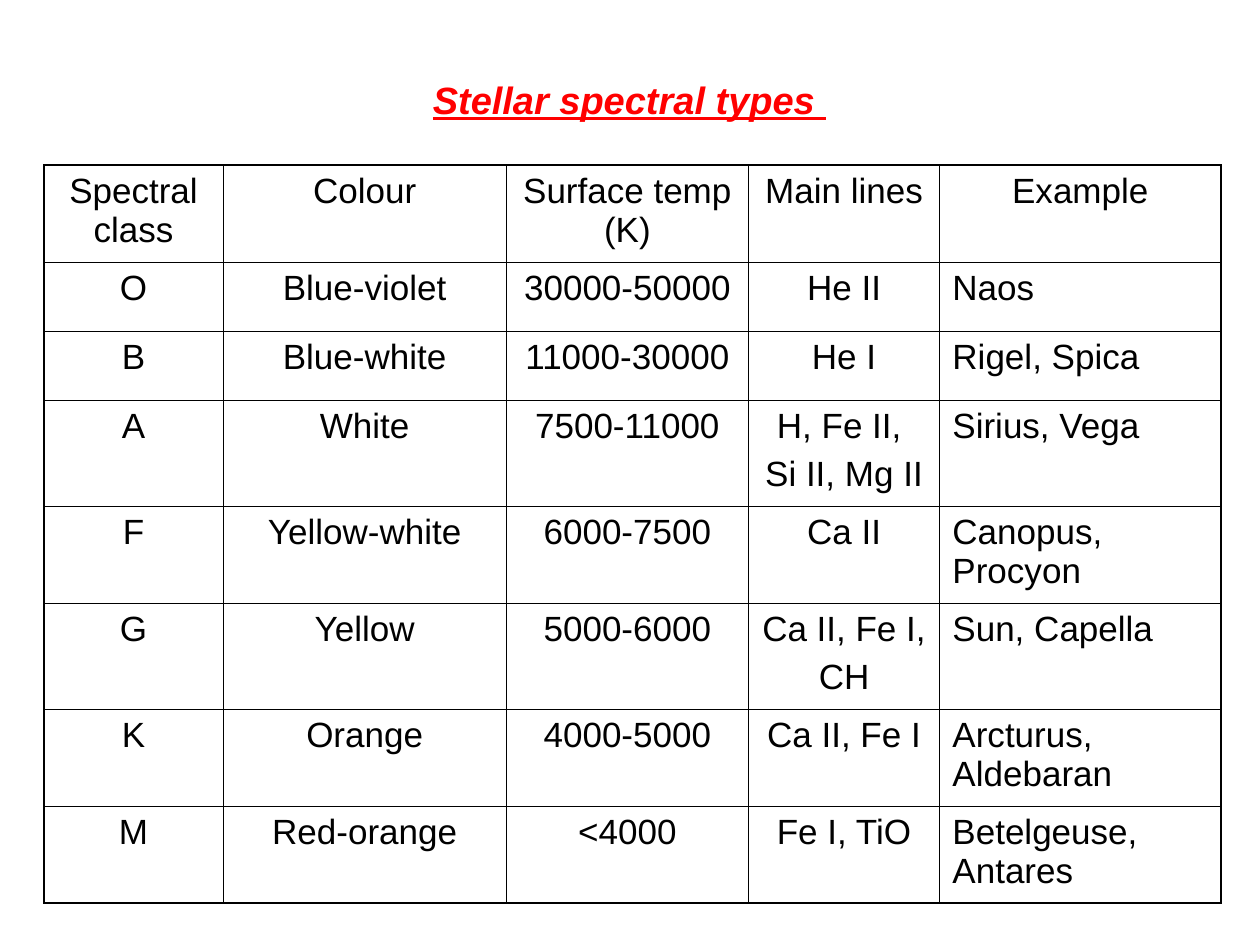
from lxml import etree
from pptx import Presentation
from pptx import util as u
from pptx.dml.color import RGBColor
from pptx.enum import text
from pptx.oxml.ns import qn

COLOURS = {"title": "FF0000", "ink": "000000", "paper": "FFFFFF"}
OUTER, INNER = 1.08, 0.45  # rule widths in points
COLUMN_WIDTHS = [1.42, 2.25, 1.92, 1.52, 2.23]
ROW_HEIGHTS = [0.77, 0.55, 0.55, 0.84, 0.77, 0.84, 0.77, 0.77]
SPECTRAL_TYPES = [
    ["Spectral class", "Colour", "Surface temp (K)", "Main lines", "Example"],
    ["O", "Blue-violet", "30000-50000", "He II", "Naos"],
    ["B", "Blue-white", "11000-30000", "He I", "Rigel, Spica"],
    ["A", "White", "7500-11000", "H, Fe II, \nSi II, Mg II", "Sirius, Vega"],
    ["F", "Yellow-white", "6000-7500", "Ca II", "Canopus, Procyon"],
    ["G", "Yellow", "5000-6000", "Ca II, Fe I,\nCH", "Sun, Capella"],
    ["K", "Orange", "4000-5000", "Ca II, Fe I", "Arcturus, Aldebaran"],
    ["M", "Red-orange", "<4000", "Fe I, TiO", "Betelgeuse, Antares"],
]


def write(frame, words, size=20, colour="ink", align="CENTER", spacing=None,
          bold=False, italic=False, underline=False):
    """Fill a text frame, one paragraph per line of words."""
    frame.word_wrap = True
    for i, line in enumerate(words.split("\n")):
        paragraph = frame.add_paragraph() if i else frame.paragraphs[0]
        paragraph.alignment = getattr(text.PP_ALIGN, align)
        if i:
            paragraph.space_before = u.Pt(5)
        if spacing:
            paragraph.line_spacing = spacing
        run = paragraph.add_run()
        run.text = line
        font = run.font
        font.name, font.size = "Arial", u.Pt(size)
        font.bold, font.italic, font.underline = bold, italic, underline
        font.color.rgb = RGBColor.from_string(COLOURS[colour])


def rule_cell(cell, widths):
    """Draw the cell borders; they must precede the fill in the cell properties."""
    properties = cell._tc.get_or_add_tcPr()
    for position, (side, width) in enumerate(widths.items()):
        border = etree.Element(qn(f"a:ln{side}"), w=str(u.Pt(width)))
        fill = etree.SubElement(border, qn("a:solidFill"))
        etree.SubElement(fill, qn("a:srgbClr"), val=COLOURS["ink"])
        properties.insert(position, border)


def add_title(slide, left, top, width, height):
    box = slide.shapes.add_textbox(*map(u.Inches, (left, top, width, height)))
    box.text_frame.vertical_anchor = text.MSO_ANCHOR.MIDDLE
    write(box.text_frame, "Stellar spectral types ", size=21.7, colour="title",
          spacing=0.8, bold=True, italic=True, underline=True)


def add_spectral_table(slide, left, top):
    last_row, last_column = len(ROW_HEIGHTS) - 1, len(COLUMN_WIDTHS) - 1
    frame = slide.shapes.add_table(
        last_row + 1, last_column + 1, u.Inches(left), u.Inches(top),
        u.Inches(sum(COLUMN_WIDTHS)), u.Inches(sum(ROW_HEIGHTS)))
    table = frame.table
    table.first_row = table.horz_banding = False
    for column, width in zip(table.columns, COLUMN_WIDTHS):
        column.width = u.Inches(width)
    for row, height in zip(table.rows, ROW_HEIGHTS):
        row.height = u.Inches(height)

    for r, entries in enumerate(SPECTRAL_TYPES):
        for c, words in enumerate(entries):
            cell = table.cell(r, c)
            cell.fill.solid()
            cell.fill.fore_color.rgb = RGBColor.from_string(COLOURS["paper"])
            # Star names are left-aligned, everything else is centred
            is_example = r > 0 and c == last_column
            write(cell.text_frame, words, align="LEFT" if is_example else "CENTER")
            edges = {"L": c == 0, "R": c == last_column,
                     "T": r == 0, "B": r == last_row}
            rule_cell(cell, {side: OUTER if outer else INNER
                             for side, outer in edges.items()})


def main():
    deck = Presentation()
    deck.slide_width, deck.slide_height = u.Inches(10), u.Inches(7.5)
    slide = deck.slides.add_slide(deck.slide_layouts[6])
    add_spectral_table(slide, 0.35, 1.31)
    add_title(slide, 0.33, 0.57, 9.33, 0.5)
    deck.save("out.pptx")


if __name__ == "__main__":
    main()
